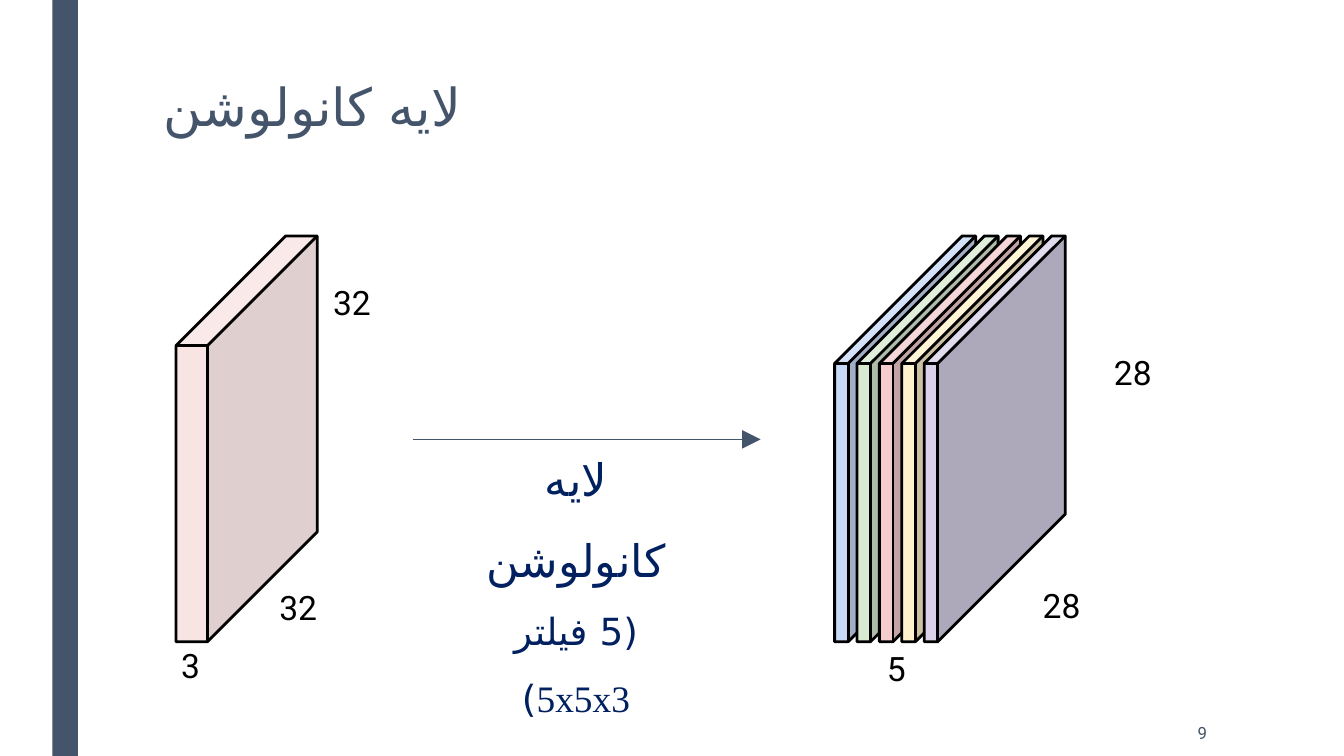
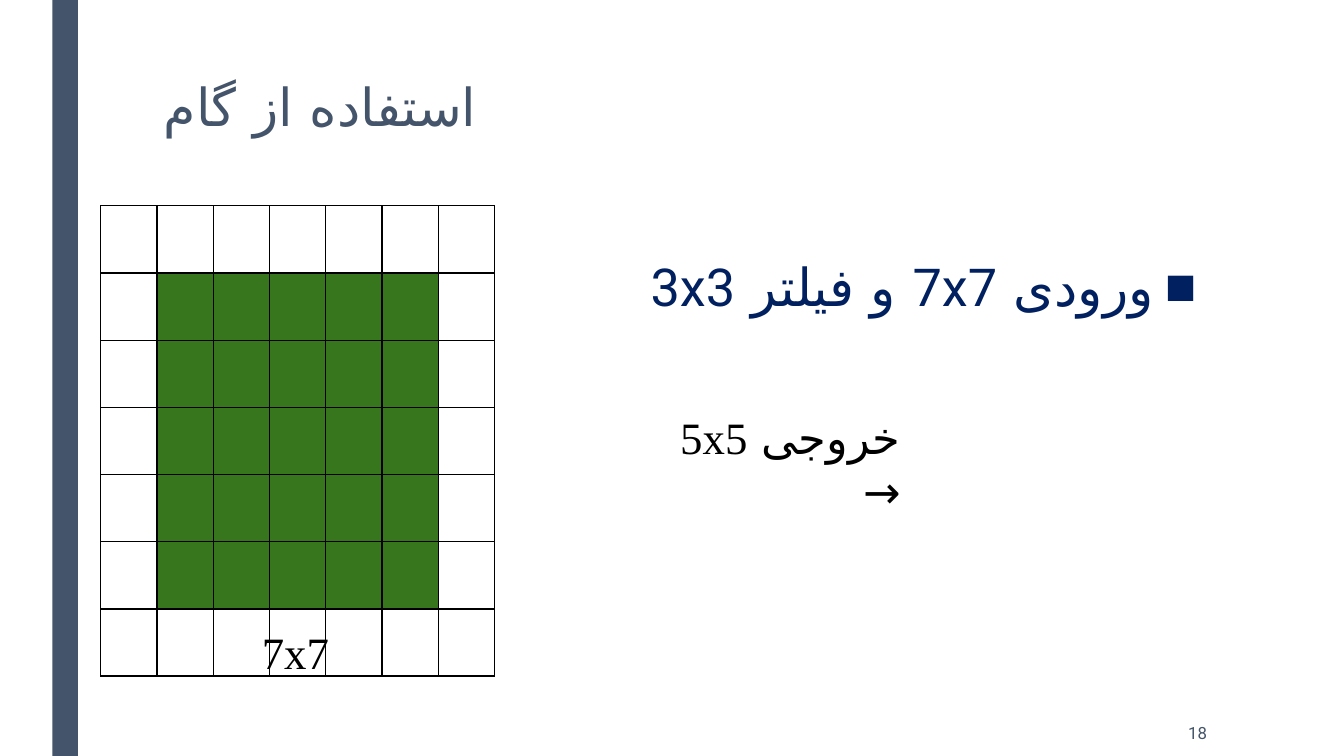
from itertools import product

from lxml import etree
from pptx import Presentation
from pptx.dml.color import RGBColor
from pptx.enum.shapes import MSO_CONNECTOR as Connector, MSO_SHAPE as Preset
from pptx.enum.text import MSO_ANCHOR as Anchor, MSO_AUTO_SIZE as AutoSize, PP_ALIGN as Align
from pptx.oxml import parse_xml
from pptx.oxml.ns import nsdecls, qn
from pptx.util import Pt

SLATE = RGBColor(0x44, 0x54, 0x6A)
NAVY = RGBColor(0x00, 0x20, 0x60)
BLACK = RGBColor(0, 0, 0)
GREEN = RGBColor(0x38, 0x76, 0x1D)
PINK = RGBColor(0xF4, 0xCC, 0xCC)
FILTER_COLORS = [
    RGBColor(0xC9, 0xDA, 0xF8),
    RGBColor(0xD9, 0xEA, 0xD3),
    PINK,
    RGBColor(0xFF, 0xF2, 0xCC),
    RGBColor(0xD9, 0xD2, 0xE9),
]
SANS, SERIF = "Roboto", "Times New Roman"
PERSIAN, BULLET = "DejaVu Sans", "Arial"
WIDTH, HEIGHT = 720, 405
WIDE_INSET, NORMAL_INSET = (7.2, 7.2), (7.2, 3.6)


class Deck:
    """Holds the shared style and the slide being built."""

    def __init__(self):
        self.presentation = Presentation()
        self.presentation.slide_width = Pt(WIDTH)
        self.presentation.slide_height = Pt(HEIGHT)
        self.remove_low_placeholders()
        self.slide = None

    def remove_low_placeholders(self):
        """Drop the template's footers, which lie below this wide slide."""
        for page in [*self.presentation.slide_layouts, self.presentation.slide_master]:
            for placeholder in list(page.placeholders):
                if placeholder.top >= Pt(HEIGHT):
                    page.shapes.element.remove(placeholder.element)

    def add_slide(self, title, number):
        layout = self.presentation.slide_layouts.get_by_name("Title Only")
        self.slide = self.presentation.slides.add_slide(layout)
        band = self.shape(Preset.RECTANGLE, (28.1, 0, 13.7, HEIGHT), SLATE)
        band.line.fill.background()
        shape = self.slide.shapes.title
        shape.left, shape.top, shape.width, shape.height = map(Pt, (80.6, 40.3, 567.4, 48.2))
        frame = shape.text_frame
        frame.text = title
        frame.auto_size = AutoSize.NONE
        frame.vertical_anchor = Anchor.TOP
        paragraph = frame.paragraphs[0]
        paragraph.alignment = Align.LEFT
        paragraph.line_spacing = 0.89
        self.format_run(paragraph.runs[0], 28, SLATE)
        footer = self.text((559.4, 380.9, 94.3, 23.8), [number], 9, SLATE,
                           align=Align.RIGHT, inset=NORMAL_INSET)
        footer.vertical_anchor = Anchor.MIDDLE

    def format_run(self, run, size, color, font=SANS):
        run.font.size = Pt(size)
        run.font.color.rgb = color
        run.font.name = font
        etree.SubElement(run.font._element, qn("a:cs"), typeface=PERSIAN)

    def text(self, box, lines, size, color, align=Align.LEFT, inset=WIDE_INSET,
             right_to_left=False):
        """Add one paragraph. A line is a string or a list of (text, size, font) runs."""
        frame = self.slide.shapes.add_textbox(*map(Pt, box)).text_frame
        frame.word_wrap = True
        frame.margin_left = frame.margin_right = Pt(inset[0])
        frame.margin_top = frame.margin_bottom = Pt(inset[1])
        paragraph = frame.paragraphs[0]
        paragraph.alignment = align
        if right_to_left:
            paragraph._p.get_or_add_pPr().set("rtl", "1")
        for index, line in enumerate(lines):
            if index:
                paragraph.add_line_break()
            runs = [(line, size, SANS)] if isinstance(line, str) else line
            for text, run_size, font in runs:
                run = paragraph.add_run()
                run.text = text
                self.format_run(run, run_size, color, font)
        return frame

    def bullet(self, box, text, size, color):
        frame = self.text(box, [text], size, color, Align.RIGHT, NORMAL_INSET, True)
        paragraph = frame.paragraphs[0]
        paragraph.line_spacing = 0.94
        paragraph.space_before = Pt(7.5)
        paragraph.space_after = Pt(1.5)
        properties = paragraph._p.get_or_add_pPr()
        properties.set("marL", str(Pt(23)))
        properties.set("indent", str(-Pt(23)))
        etree.SubElement(properties, qn("a:buFont"), typeface=BULLET)
        etree.SubElement(properties, qn("a:buChar"), char="■")

    def shape(self, preset, box, color):
        shape = self.slide.shapes.add_shape(preset, *map(Pt, box))
        shape.shadow.inherit = False
        shape.fill.solid()
        shape.fill.fore_color.rgb = color
        return shape

    def cube(self, left, depth, color, opacity=None):
        cube = self.shape(Preset.CUBE, (left, 126.4, 75.6, 217.4), color)
        cube.adjustments[0] = depth
        cube.line.color.rgb = BLACK
        cube.line.width = Pt(1.5)
        if opacity:
            color_element = cube.element.spPr.find(qn("a:solidFill"))[0]
            etree.SubElement(color_element, qn("a:alpha"), val=str(opacity * 1000))

    def arrow(self, start, end):
        arrow = self.slide.shapes.add_connector(Connector.STRAIGHT, *map(Pt, start + end))
        arrow.line.color.rgb = SLATE
        arrow.line.width = Pt(0.75)
        etree.SubElement(arrow.line._get_or_add_ln(), qn("a:tailEnd"),
                         type="triangle", w="lg", len="lg")
        etree.SubElement(arrow._element.spPr, qn("a:effectLst"))

    def grid(self, left, top, count, column_width, row_height):
        """Add a square grid whose inner cells are green."""
        box = (left, top, count * column_width, count * row_height)
        table = self.slide.shapes.add_table(count, count, *map(Pt, box)).table
        table.first_row = table.horz_banding = False
        for column in table.columns:
            column.width = Pt(column_width)
        for row in table.rows:
            row.height = Pt(row_height)
        inner = range(1, count - 1)
        for row, column in product(range(count), repeat=2):
            cell = table.cell(row, column)
            self.cell_borders(cell)
            if row in inner and column in inner:
                cell.fill.solid()
                cell.fill.fore_color.rgb = GREEN
            else:
                cell.fill.background()

    def cell_borders(self, cell):
        properties = cell._tc.get_or_add_tcPr()
        for side in "LRTB":
            properties.append(parse_xml(
                f'<a:ln{side} {nsdecls("a")} w="{Pt(0.75)}"><a:solidFill>'
                f'<a:srgbClr val="{BLACK}"/></a:solidFill></a:ln{side}>'))


def build_convolution_layer(deck):
    deck.add_slide("لایه کانولوشن", "9")
    deck.cube(94.3, 0.777, PINK, opacity=52)
    for index, color in enumerate(FILTER_COLORS):
        deck.cube(447.1 + 12 * index, 0.904, color)
    sizes = [
        ("32", 142.6, 307.4, 38.9),
        ("32", 171.4, 144, 38.9),
        ("3", 90, 338.4, 38.9),
        ("5", 468, 339.8, 25.9),
        ("28", 551.5, 306, 38.9),
        ("28", 589.7, 181.4, 38.9),
    ]
    for text, left, top, width in sizes:
        deck.text((left, top, width, 24.5), [text], 18, BLACK)
    deck.arrow((221, 235.4), (407.5, 235.4))
    filter_size = [("(5 فیلتر ", 20, SANS), ("5x5x3", 20, SERIF), (")", 20, SANS)]
    frame = deck.text((243.4, 220.3, 130.3, 87.1), ["لایه کانولوشن", filter_size],
                      24, NAVY, Align.CENTER, right_to_left=True)
    frame.paragraphs[0].line_spacing = 1.5


def build_stride(deck):
    deck.add_slide("استفاده از گام", "18")
    deck.bullet((80.6, 135.4, 567.4, 211.7), "ورودی 7x7 و فیلتر 3x3", 28, NAVY)
    output_size = [("خروجی ", 24, SANS), ("5x5", 24, SERIF)]
    deck.text((330.5, 216, 159.1, 66), [output_size, "→"], 24, BLACK,
              Align.RIGHT, NORMAL_INSET, True)
    deck.grid(54, 110.2, 7, 30.15, 36)
    deck.text((133.2, 327.6, 52.6, 36), [[("7x7", 24, SERIF)]], 24, BLACK)


def main():
    deck = Deck()
    build_convolution_layer(deck)
    build_stride(deck)
    deck.presentation.save("out.pptx")


if __name__ == "__main__":
    main()
